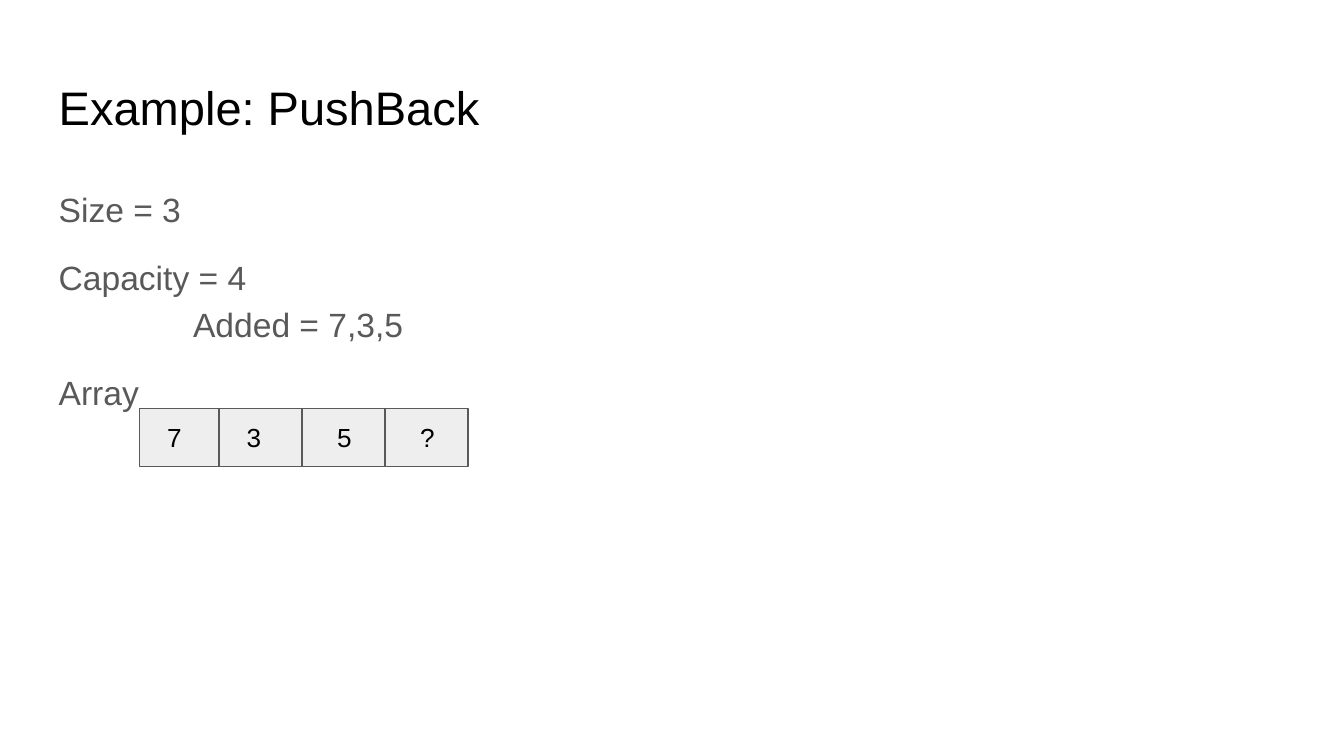
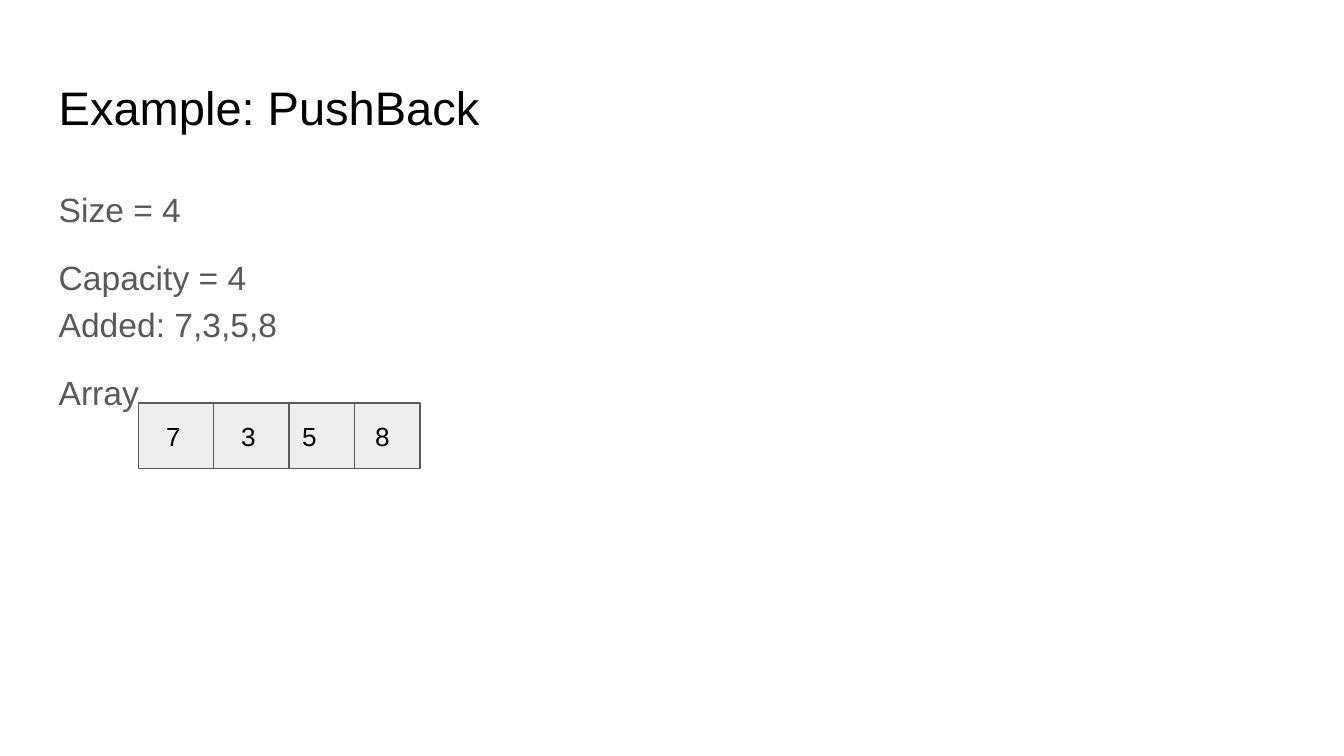
import pptx
import pptx.dml.color
import pptx.enum.shapes
import pptx.enum.text
import pptx.util

Cm = pptx.util.Cm
Pt = pptx.util.Pt


def color(hex_string):
    return pptx.dml.color.RGBColor.from_string(hex_string)


class Deck:
    FONT = "Arial"
    INK = "000000"
    BODY = "595959"
    CELL = "EEEEEE"
    LEFT = 0.86
    WIDTH = 23.67
    INSET = 0.25

    def __init__(self):
        self.presentation = pptx.Presentation()
        self.presentation.slide_width = Cm(25.4)
        self.presentation.slide_height = Cm(14.29)
        self.slide = None

    def add_slide(self, heading):
        layout = self.presentation.slide_layouts.get_by_name("Title Only")
        self.slide = self.presentation.slides.add_slide(layout)
        title = self.slide.shapes.title
        title.left, title.top = Cm(self.LEFT), Cm(1.24)
        title.width, title.height = Cm(self.WIDTH), Cm(1.6)
        title.text_frame.text = heading
        self.style_text(title.text_frame, 25.2, self.INK)

    def style_text(self, frame, size, ink, anchor="TOP"):
        frame.word_wrap = True
        frame.auto_size = pptx.enum.text.MSO_AUTO_SIZE.NONE
        frame.vertical_anchor = pptx.enum.text.MSO_ANCHOR[anchor]
        frame.margin_left = frame.margin_right = Cm(self.INSET)
        frame.margin_top = frame.margin_bottom = Cm(self.INSET)
        for paragraph in frame.paragraphs:
            paragraph.alignment = pptx.enum.text.PP_ALIGN.LEFT
            for run in paragraph.runs:
                run.font.name = self.FONT
                run.font.size = Pt(size)
                run.font.color.rgb = color(ink)

    def indent(self, paragraph, distance):
        properties = paragraph._p.get_or_add_pPr()
        properties.set("marL", str(Cm(distance)))
        properties.set("indent", "0")

    def state(self, size, capacity, added, added_indent):
        box = self.slide.shapes.add_textbox(
            Cm(self.LEFT), Cm(3.2), Cm(self.WIDTH), Cm(9.5))
        frame = box.text_frame
        frame.text = "\n".join([f"Size = {size}", f"Capacity = {capacity}", added, "Array"])
        self.style_text(frame, 18, self.BODY)
        for paragraph, space in zip(frame.paragraphs, (0, 12, 0, 12)):
            paragraph.line_spacing = 1.15
            paragraph.space_before = Pt(space)
        self.indent(frame.paragraphs[2], added_indent)

    def array(self, left, top, height, cells):
        for value, width, value_indent in cells:
            cell = self.slide.shapes.add_shape(
                pptx.enum.shapes.MSO_SHAPE.RECTANGLE,
                Cm(left), Cm(top), Cm(width), Cm(height))
            cell.shadow.inherit = False
            cell.fill.solid()
            cell.fill.fore_color.rgb = color(self.CELL)
            cell.line.color.rgb = color(self.BODY)
            cell.line.width = Pt(0.75)
            cell.text_frame.text = value
            self.style_text(cell.text_frame, 14, self.INK, "MIDDLE")
            self.indent(cell.text_frame.paragraphs[0], value_indent)
            left += width


def main():
    deck = Deck()

    deck.add_slide("Example: PushBack")
    deck.state(3, 4, "Added = 7,3,5", 2.54)
    deck.array(2.64, 7.72, 1.1, [
        ("7", 1.5, 0.27), ("3", 1.57, 0.27), ("5", 1.57, 0.41), ("?", 1.57, 0.41)])

    deck.add_slide("Example: PushBack")
    deck.state(4, 4, "Added: 7,3,5,8", 0)
    deck.array(2.62, 7.62, 1.24, [
        ("7", 1.42, 0.27), ("3", 1.42, 0.27), ("5", 1.24, 0), ("8", 1.24, 0.14)])

    deck.presentation.save("out.pptx")


if __name__ == "__main__":
    main()
